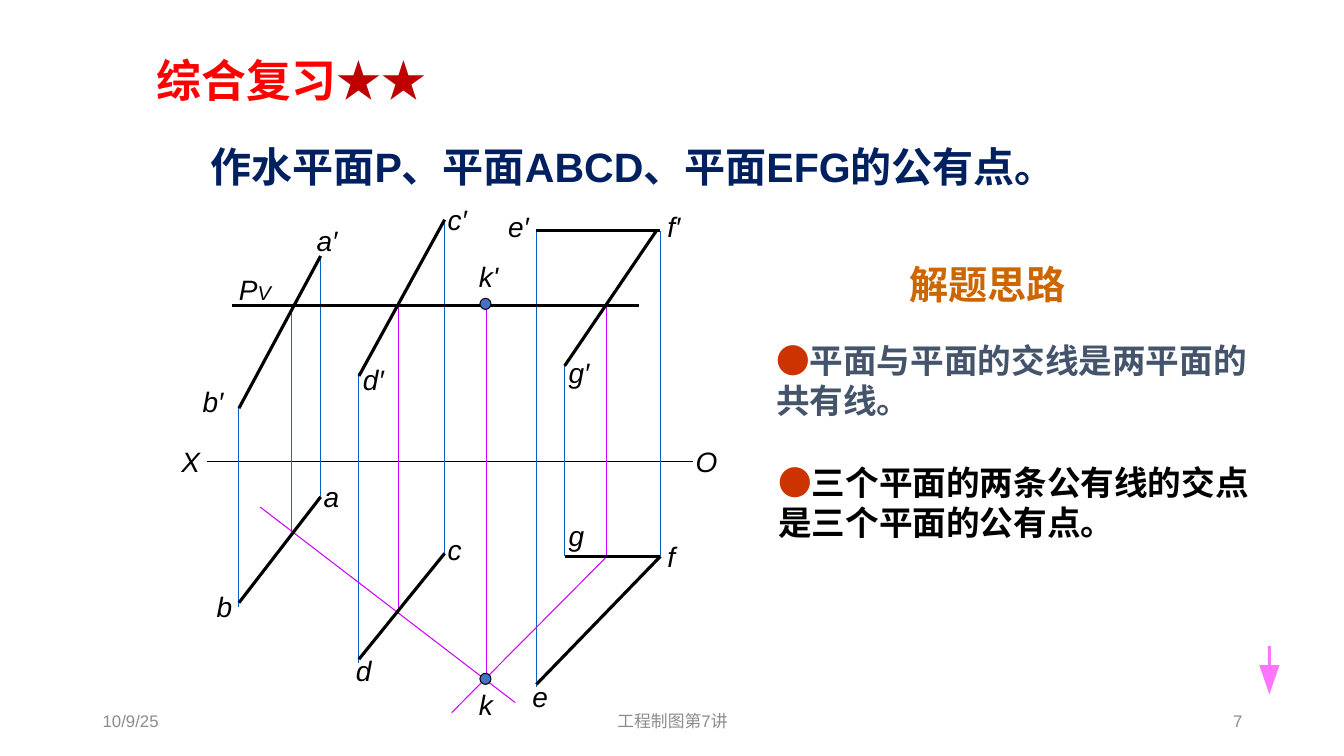
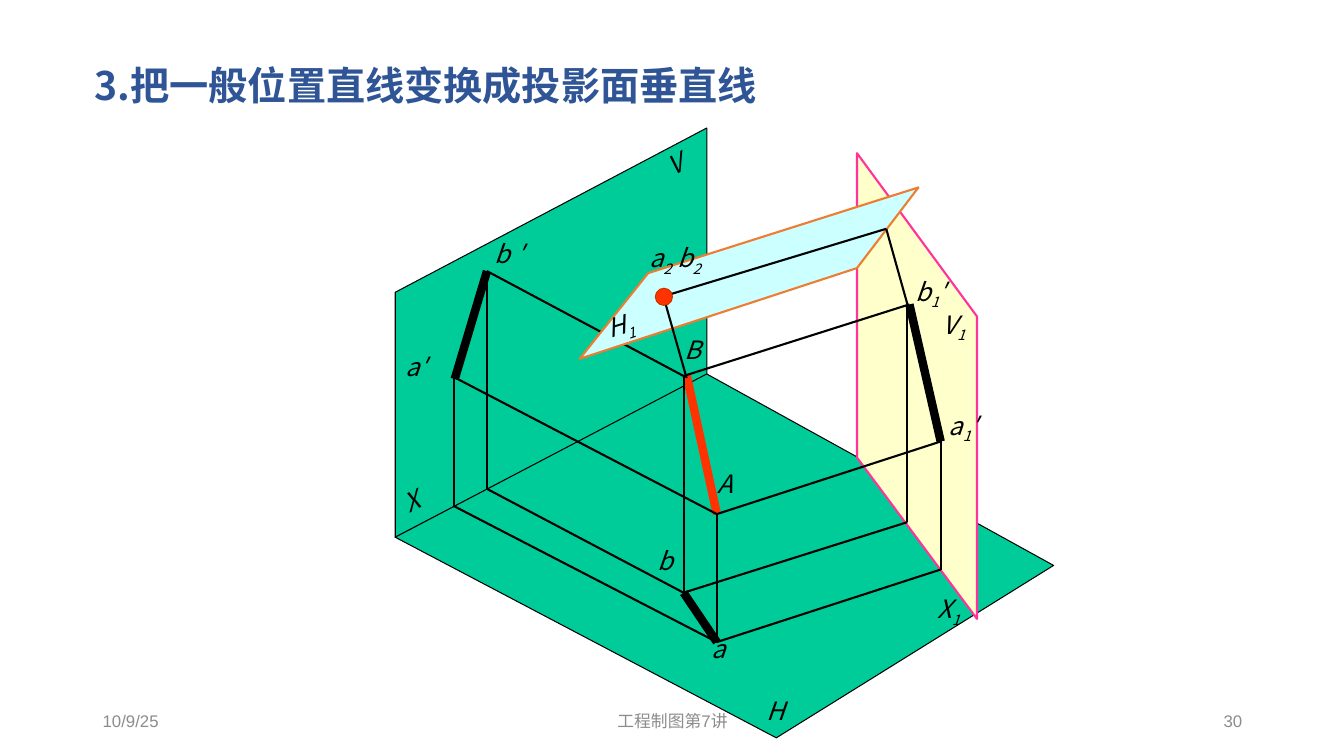
import itertools

import lxml.etree
import pptx
import pptx.dml.color
import pptx.enum.shapes
import pptx.enum.text
import pptx.oxml.ns
import pptx.util

Inches = pptx.util.Inches
SHAPE = pptx.enum.shapes.MSO_SHAPE
ALIGN = pptx.enum.text.PP_ALIGN
MIDDLE = pptx.enum.text.MSO_ANCHOR.MIDDLE
CJK = "Noto Sans CJK SC"
BLACK, WHITE, BLUE, PURPLE = "000000", "FFFFFF", "0563C1", "CC00FF"
GREEN, RED = "00CC99", "FF3300"
THIN, MEDIUM, THICK, HEAVY = 0.75, 1.5, 2.25, 6

FOOTER = {"size": 12, "name": "Arial", "color": "8C8C8C"}
HEADING = {"name": "Arial", "bold": True}
BULLET = {"size": 24, "name": "Arial", "color": "CC3300"}
ARIAL_LABEL = {"size": 20, "name": "Arial", "italic": True, "color": BLACK}
CJK_LABEL = {"size": 18, "name": CJK, "italic": True, "color": BLACK}


def rgb(color):
    return pptx.dml.color.RGBColor.from_string(color)


def add_xml(parent, tag, **attrs):
    return lxml.etree.SubElement(parent, pptx.oxml.ns.qn(tag), attrs)


def write(sp, runs, align=ALIGN.LEFT, anchor=None, inset=(0.1, 0.05)):
    tf = sp.text_frame
    x, y = map(Inches, inset)
    frame = {"word_wrap": True, "vertical_anchor": anchor, "margin_left": x,
             "margin_right": x, "margin_top": y, "margin_bottom": y}
    for key, value in frame.items():
        setattr(tf, key, value)
    p = tf.paragraphs[0]
    p.alignment = align
    for text, fmt in runs:
        r = p.add_run()
        r.text = text
        for key, value in fmt.items():
            if key == "color":
                r.font.color.rgb = rgb(value)
            elif key == "baseline":
                r.font._element.set("baseline", str(value))
            else:
                setattr(r.font, key, pptx.util.Pt(value) if key == "size" else value)
        add_xml(r.font._element, "a:ea", typeface=CJK)


def add_text(s, box, runs, rotation=0, **layout):
    sp = s.shapes.add_textbox(*map(Inches, box))
    sp.rotation = rotation
    write(sp, runs, **layout)


def paint(sp, fill, line=None, width=THIN):
    sp.shadow.inherit = False
    sp.fill.solid()
    sp.fill.fore_color.rgb = rgb(fill)
    if line:
        sp.line.color.rgb = rgb(line)
        sp.line.width = pptx.util.Pt(width)
    else:
        sp.line.fill.background()


def add_shape(s, kind, box, fill, line=None):
    sp = s.shapes.add_shape(kind, *map(Inches, box))
    paint(sp, fill, line)
    return sp


def add_plane(s, points, fill, line, width=THIN):
    corners = [(Inches(x), Inches(y)) for x, y in points]
    builder = s.shapes.build_freeform(*corners[0])
    builder.add_line_segments(corners[1:], close=True)
    paint(builder.convert_to_shape(), fill, line, width)


def add_lines(s, segments, color, width):
    for start, end in segments:
        c = s.shapes.add_connector(pptx.enum.shapes.MSO_CONNECTOR.STRAIGHT,
                                   *map(Inches, (*start, *end)))
        c.line.color.rgb = rgb(color)
        c.line.width = pptx.util.Pt(width)
        add_xml(c._element.spPr, "a:effectLst")


def add_verticals(s, spans, color):
    add_lines(s, [((x, top), (x, bottom)) for x, top, bottom in spans], color, THIN)


def add_arial_labels(s, labels):
    for text, x, y in labels:
        add_text(s, (x, y, 0.8, 0.41), [(text, ARIAL_LABEL)], inset=(0.07, 0.04))


def add_cjk_labels(s, labels):
    for text, x, y, w, rotation in labels:
        runs = [("".join(part), {**CJK_LABEL, "baseline": -25000} if digit else CJK_LABEL)
                for digit, part in itertools.groupby(text, str.isdigit)]
        add_text(s, (x, y, w, 0.5), runs, rotation)


def add_slide(prs, number):
    s = prs.slides.add_slide(prs.slide_layouts[6])
    for text, x, w, align in (("10/9/25", 0.92, 3, ALIGN.LEFT),
                              ("工程制图第7讲", 4.42, 4.5, ALIGN.CENTER),
                              (number, 9.42, 3, ALIGN.RIGHT)):
        add_text(s, (x, 6.95, w, 0.4), [(text, FOOTER)], align=align, anchor=MIDDLE)
    return s


def add_review_text(s):
    title = add_shape(s, SHAPE.ROUNDED_RECTANGLE, (0.67, 0.41, 4.44, 0.75), WHITE, WHITE)
    write(title, [("综合复习", {**HEADING, "size": 32, "color": "FF0000"}),
                  ("★★", {"size": 32, "name": CJK, "color": "C00000"})],
          align=ALIGN.CENTER, anchor=MIDDLE)
    for text, box, size, color in (
            ("作水平面P、平面ABCD、平面EFG的公有点。", (1.99, 1.35, 10.19, 0.59), 29.3, "002060"),
            ("解题思路", (8.92, 2.53, 2.2, 0.57), 28, "CC6600")):
        add_text(s, box, [(text, {**HEADING, "size": size, "color": color})])
    for text, box, color, bold in (
            ("平面与平面的交线是两平面的共有线。", (7.6, 3.32, 4.9, 0.91), "44546A", False),
            ("三个平面的两条公有线的交点是三个平面的公有点。", (7.62, 4.53, 4.94, 0.91), BLACK, True)):
        add_text(s, box, [("●", {**BULLET, "bold": bold}),
                          (text, {**BULLET, "bold": True, "color": color})])
    arrow = add_shape(s, SHAPE.DOWN_ARROW, (12.49, 6.41, 0.2, 0.48), "FF66FF")
    arrow.adjustments[0] = 0.15
    arrow.adjustments[1] = 1.46
    color = arrow._element.spPr.xpath("a:solidFill/a:srgbClr")[0]
    add_xml(color, "a:alpha", val="90000")


def add_review_drawing(s):
    a1, b1, c1, d1 = (3.18, 2.54), (2.37, 4.05), (4.41, 2.18), (3.56, 3.73)
    e1, f1, g1 = (5.32, 2.29), (6.55, 2.29), (5.6, 3.63)
    a, b, c, d = (3.18, 4.93), (2.37, 5.98), (4.41, 5.49), (3.56, 6.54)
    e, f, g = (5.32, 6.79), (6.55, 5.52), (5.6, 5.52)
    trace, k_bottom = 3.03, 6.72
    add_lines(s, [((2.05, 4.58), (6.87, 4.58))], BLACK, THIN)
    add_verticals(s, [(2.37, 4.05, 6.02), (3.18, 2.54, 4.93), (3.56, 3.7, 6.58),
                      (4.41, 2.18, 5.52), (5.32, 2.29, 6.82), (6.55, 2.29, 5.52),
                      (5.6, 3.63, 5.52)], BLUE)
    add_verticals(s, [(x, trace, bottom) for x, bottom in
                      ((2.89, 5.28), (3.95, 6.09), (4.83, k_bottom), (6.02, 5.52))], PURPLE)
    add_lines(s, [((5.11, 6.97), (2.58, 5.03)), ((6.02, 5.52), (4.48, 7.07))], PURPLE, THIN)
    add_lines(s, [((2.3, trace), (6.34, trace)), (a1, b1), (c1, d1), (e1, f1),
                  ((6.51, 2.29), g1), (a, b), (c, d), (f, g), (f, e)], BLACK, THICK)
    for y in (2.96, 6.68):
        add_shape(s, SHAPE.OVAL, (4.76, y, 0.11, 0.11), "4472C4", BLACK)
    add_text(s, (2.3, 2.66, 0.81, 0.41),
             [("P", ARIAL_LABEL), ("V", {**ARIAL_LABEL, "size": 14.3})], inset=(0.07, 0.04))
    add_arial_labels(s, [
        ("a′", 3.07, 2.18), ("b′", 1.94, 3.77), ("c′", 4.37, 1.97), ("d′", 3.53, 3.56),
        ("e′", 4.97, 2.04), ("f′", 6.55, 2.04), ("g′", 5.57, 3.49), ("k'", 4.68, 2.53),
        ("a", 3.14, 4.72), ("b", 2.08, 5.81), ("c", 4.37, 5.24), ("d", 3.46, 6.44),
        ("e", 5.21, 6.7), ("f", 6.55, 5.31), ("g", 5.57, 5.1), ("k", 4.68, 6.78),
        ("X", 1.73, 4.37), ("O", 6.83, 4.37)])


def add_projection_drawing(s):
    A, B, a, b = (7.11, 5.1), (6.78, 3.73), (7.11, 6.37), (6.78, 5.88)
    a_front, b_front, a_axis, b_axis = (4.5, 3.74), (4.83, 2.69), (4.5, 5.02), (4.83, 4.85)
    a_new, b_new, a_new_axis, b_new_axis = (9.33, 4.38), (9.02, 3.02), (9.33, 5.65), (9, 5.18)
    point_view, corner = (6.58, 2.94), (8.79, 2.27)
    add_plane(s, [(7.01, 1.27), (7.01, 3.72), (3.92, 5.33), (3.92, 2.9)], GREEN, BLACK)
    add_plane(s, [(7.01, 3.71), (10.45, 5.61), (7.7, 7.32), (3.92, 5.33)], GREEN, BLACK)
    add_lines(s, [(A, (6.81, 3.72))], RED, HEAVY)
    add_lines(s, [(A, a), (a_axis, a), (a_front, A), (B, b), (b_axis, b),
                  (b_front, b_axis), (a_axis, a_front), (b_front, B)], BLACK, MEDIUM)
    add_lines(s, [((4.51, 3.76), b_front), (b, a)], BLACK, HEAVY)
    add_cjk_labels(s, [
        ("X", 3.92, 4.71, 0.6, 333), ("H", 7.5, 6.85, 0.5, 0), ("a′", 3.92, 3.44, 0.8, 0),
        ("A", 7.02, 4.6, 0.5, 0), ("a", 6.96, 6.23, 0.8, 0), ("b ′", 4.81, 2.32, 0.8, 0),
        ("b", 6.42, 5.36, 0.8, 0), ("B", 6.69, 3.27, 0.5, 0), ("V", 6.54, 1.38, 0.5, 331.2)])
    add_plane(s, [(9.69, 6.14), (8.5, 4.54), (8.5, 1.52), (9.69, 3.14)],
              "FFFFCC", "FF3399", MEDIUM)
    add_plane(s, [(8.5, 2.66), (9.11, 1.86), (6.43, 2.71), (5.75, 3.56)],
              "CCFFFF", "ED7D31", MEDIUM)
    add_lines(s, [(point_view, corner), ((9, 3.02), corner), ((6.81, 3.75), point_view)],
              BLACK, MEDIUM)
    add_shape(s, SHAPE.OVAL, (6.5, 2.86, 0.17, 0.17), RED, "CC3300")
    add_lines(s, [(a_new, b_new)], BLACK, HEAVY)
    add_lines(s, [(B, b_new), (a, a_new_axis), (A, a_new), (b, b_new_axis),
                  ((9, 3.02), b_new_axis), (a_new, a_new_axis)], BLACK, MEDIUM)
    add_cjk_labels(s, [
        ("V1", 9.25, 3.02, 0.87, 0), ("X1", 9.2, 5.84, 1, 0), ("H1", 5.93, 3, 0.62, 342.4),
        ("a2 b2", 6.34, 2.36, 1.25, 0), ("a1′", 9.31, 4.02, 0.8, 0),
        ("b1′", 8.98, 2.69, 0.8, 0)])


def main():
    prs = pptx.Presentation()
    prs.slide_width, prs.slide_height = Inches(13.33), Inches(7.5)
    s = add_slide(prs, "7")
    add_review_text(s)
    add_review_drawing(s)
    s = add_slide(prs, "30")
    add_projection_drawing(s)
    add_text(s, (0.84, 0.56, 7, 0.57),
             [("3.把一般位置直线变换成投影面垂直线",
               {"size": 28, "name": CJK, "bold": True, "color": "2F5597"})], anchor=MIDDLE)
    prs.save("out.pptx")


if __name__ == "__main__":
    main()
